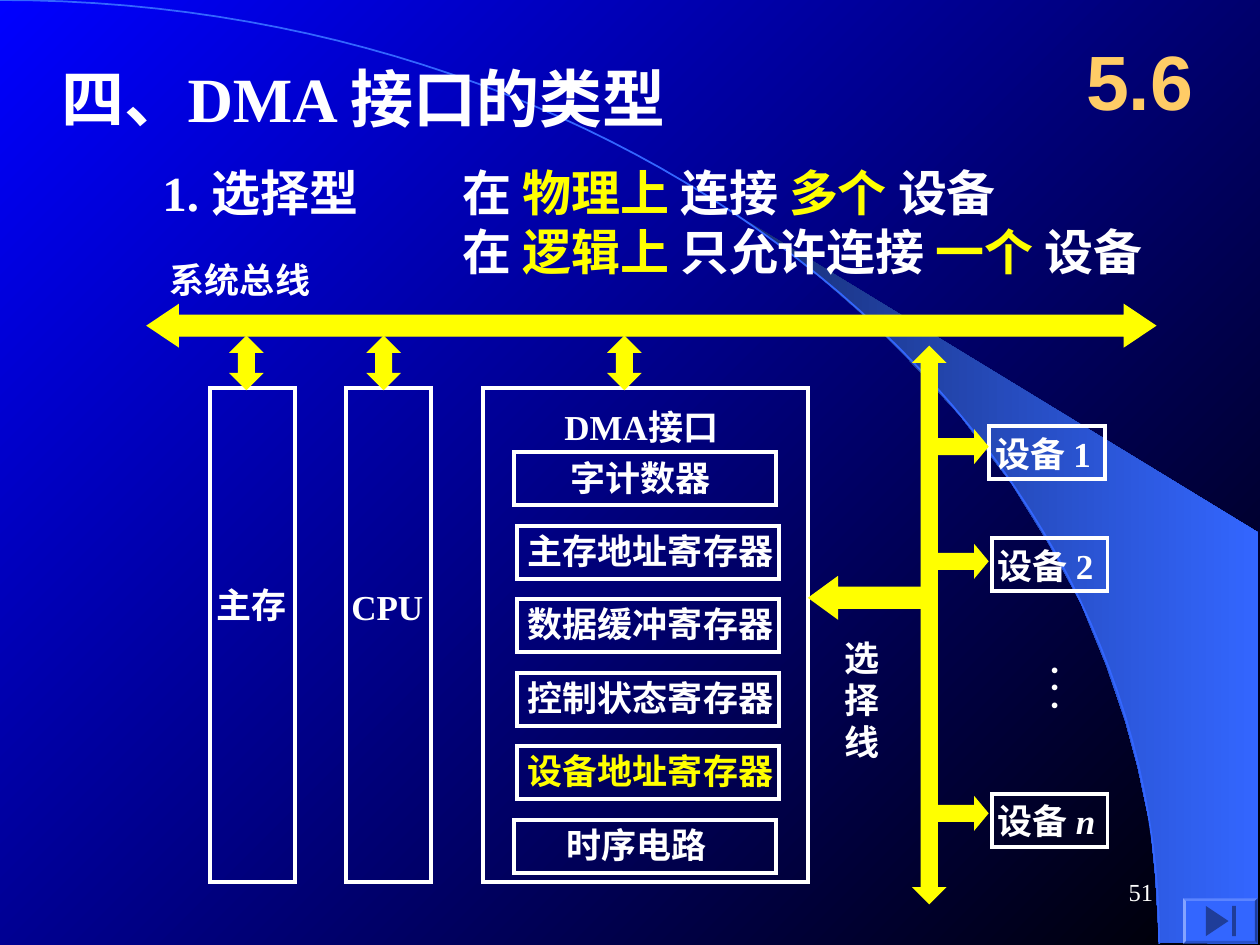
import lxml.etree
import pptx
import pptx.util
import pptx.dml.color
import pptx.enum.shapes
import pptx.enum.text
import pptx.oxml.ns

Inches = pptx.util.Inches
RGBColor = pptx.dml.color.RGBColor
SHAPE = pptx.enum.shapes.MSO_SHAPE
ALIGN = pptx.enum.text.PP_ALIGN
ANCHOR = pptx.enum.text.MSO_ANCHOR

WHITE = RGBColor(0xFF, 0xFF, 0xFF)
YELLOW = RGBColor(0xFF, 0xFF, 0x00)
ORANGE = RGBColor(0xFF, 0xCC, 0x66)
BLUE = RGBColor(0x33, 0x66, 0xFF)
DEEP_BLUE = RGBColor(0x00, 0x00, 0xFF)
NAVY = RGBColor(0x18, 0x2F, 0x76)
ICON_BLUE = RGBColor(0x1F, 0x3D, 0x99)
BLACK = RGBColor(0x00, 0x00, 0x00)

# Content: a paragraph is a list of (text, changed format values)
HOT = {"color": YELLOW}
DEFINITION = [
    [("在 ", {}), ("物理上 ", HOT), ("连接 ", {}), ("多个 ", HOT), ("设备", {})],
    [("在 ", {}), ("逻辑上 ", HOT), ("只允许连接 ", {}), ("一个 ", HOT), ("设备", {})],
]
# text, text left, text width, frame left, colour
REGISTERS = [
    ("字计数器", 4.43, 1.31, 4.08, WHITE),
    ("主存地址寄存器", 4.09, 2.15, 4.1, WHITE),
    ("数据缓冲寄存器", 4.09, 2.15, 4.1, WHITE),
    ("控制状态寄存器", 4.09, 2.15, 4.1, WHITE),
    ("设备地址寄存器", 4.09, 2.15, 4.1, YELLOW),
    ("时序电路", 4.4, 1.31, 4.08, WHITE),
]
# frame left, frame width, label, label left, top and width
UNITS = [
    (1.67, 0.67, "主存", 1.62, 4.58, 0.75),
    (2.75, 0.67, "CPU", 2.69, 4.6, 0.77),
    (3.83, 2.58, "DMA接口", 4.38, 3.17, 1.49),
]
# spans, frame left, frame top, arrow top
DEVICES = [
    ([("设备 1", {})], 7.85, 3.38, 3.42),
    ([("设备 2", {})], 7.87, 4.27, 4.33),
    ([("设备 ", {}), ("n", {"italic": True})], 7.87, 6.3, 6.33),
]
WEDGE = [
    (9.2, 7.48), (9.99, 7.49), (9.99, 4.23), (5.89, 1.73), (6.24, 1.99),
    (6.53, 2.22), (6.85, 2.5), (7.16, 2.8), (7.62, 3.3), (8.03, 3.84),
    (8.32, 4.31), (8.58, 4.79), (8.78, 5.28), (8.93, 5.72), (9.03, 6.09),
    (9.13, 6.56), (9.17, 6.96),
]
ARC_CONTROLS = [(0, 0), (5.08, 0), (9.2, 3.35), (9.2, 7.49)]
ARC_STEPS = 60

deck = pptx.Presentation()
deck.slide_width, deck.slide_height = Inches(10), Inches(7.5)
page = deck.slides.add_slide(deck.slide_layouts[6])


def set_gradient(fill, colors, angle):
    fill.gradient()
    fill.gradient_angle = angle
    for position, (stop, color) in enumerate(zip(fill.gradient_stops, colors)):
        stop.color.rgb = color
        stop.position = position


def paint(shape, fill=None, line=None, width=0.75):
    shape.shadow.inherit = False
    if fill is None:
        shape.fill.background()
    else:
        shape.fill.solid()
        shape.fill.fore_color.rgb = fill
    if line is None:
        shape.line.fill.background()
    else:
        shape.line.color.rgb = line
        shape.line.width = pptx.util.Pt(width)
        # Sharp corners
        outline = shape._element.spPr.find(pptx.oxml.ns.qn("a:ln"))
        lxml.etree.SubElement(outline, pptx.oxml.ns.qn("a:miter"), lim="800000")
    return shape


def add_outline(points, close=True):
    corners = [(Inches(x), Inches(y)) for x, y in points]
    builder = page.shapes.build_freeform(*corners[0])
    builder.add_line_segments(corners[1:], close=close)
    return builder.convert_to_shape()


def add_shape(kind, *place):
    return page.shapes.add_shape(kind, *map(Inches, place))


def add_frame(*place):
    paint(add_shape(SHAPE.RECTANGLE, *place), line=WHITE, width=2.25)


def add_arrow(kind, place, head, shaft=0.5):
    arrow = paint(add_shape(kind, *place), YELLOW, YELLOW)
    # The up-down arrow lists its head before its shaft
    values = (head, shaft) if kind == SHAPE.UP_DOWN_ARROW else (shaft, head)
    for index, value in enumerate(values):
        arrow.adjustments[index] = value


def add_text(paragraphs, place, size=20, align=ALIGN.LEFT,
             anchor=ANCHOR.TOP, **look):
    box = page.shapes.add_textbox(*map(Inches, place))
    frame = box.text_frame
    frame.word_wrap = True
    frame.vertical_anchor = anchor
    if align == ALIGN.LEFT:
        frame.margin_right = 0  # room to keep each label on one line
    if isinstance(paragraphs, str):
        paragraphs = [[(line, {})] for line in paragraphs.split("\n")]
    for index, spans in enumerate(paragraphs):
        para = frame.add_paragraph() if index else frame.paragraphs[0]
        para.alignment = align
        for text, change in spans:
            span = para.add_run()
            span.text = text
            values = {"name": "Times New Roman", "size": pptx.util.Pt(size),
                      "bold": True, "color": WHITE, **look, **change}
            span.font.color.rgb = values.pop("color")
            for name, value in values.items():
                setattr(span.font, name, value)
    return box


def arc_point(t):
    weights = [(1 - t) ** 3, 3 * t * (1 - t) ** 2, 3 * t ** 2 * (1 - t), t ** 3]
    return tuple(sum(w * point[axis] for w, point in zip(weights, ARC_CONTROLS))
                 for axis in (0, 1))


# Background: gradient, wedge and arc
set_gradient(page.background.fill, (DEEP_BLUE, BLACK), 315)
wedge = paint(add_outline(WEDGE))
set_gradient(wedge.fill, (NAVY, BLUE), 0)
arc = [arc_point(step / ARC_STEPS) for step in range(ARC_STEPS + 1)]
paint(add_outline(arc, close=False), line=BLUE, width=1)

# Headings
add_text("四、DMA 接口的类型", (0.39, 0.42, 5.26, 0.7), size=36)
add_text("1. 选择型", (1.19, 1.24, 1.84, 0.57), size=28)
add_text(DEFINITION, (3.57, 1.24, 6.1, 1.04), size=28)

# Registers of the DMA interface
for row, (text, left, width, frame_left, color) in enumerate(REGISTERS):
    top = 3.59 + row * 3.5 / 6
    add_text(text, (left, top - 0.02, width, 0.44), color=color)
    add_frame(frame_left, top, 2.08, 0.42)

# Units under the system bus
add_text("系统总线", (1.25, 2, 1.31, 0.44))
add_arrow(SHAPE.LEFT_RIGHT_ARROW, (1.17, 2.42, 8, 0.33), 0.745)
for left, width, label, label_left, label_top, label_width in UNITS:
    add_frame(left, 3.08, width, 3.92)
    add_text(label, (label_left, label_top, label_width, 0.44))
for left in (1.83, 2.92, 4.83):
    add_arrow(SHAPE.UP_DOWN_ARROW, (left, 2.67, 0.25, 0.42), 0.332)

# Devices on the select line
add_arrow(SHAPE.UP_DOWN_ARROW, (7.25, 2.75, 0.25, 4.42), 1.418)
for spans, left, top, arrow_top in DEVICES:
    add_text([spans], (left - 0.05, top, 1.02, 0.44))
    add_frame(left, top, 0.92, 0.42)
    add_arrow(SHAPE.RIGHT_ARROW, (7.42, arrow_top, 0.42, 0.25), 0.417)
add_arrow(SHAPE.LEFT_ARROW, (6.42, 4.58, 0.92, 0.33), 0.688)
add_text("选\n择\n线", (6.6, 5, 0.48, 1.1))
dots = add_text(". . .", (8.15, 5.19, 0.53, 0.45)).text_frame
dots._txBody.bodyPr.set("vert", "eaVert")
dots.margin_left = dots.margin_right = dots.margin_top = Inches(0.05)
dots.margin_bottom = 0

# Section and page numbers
add_text("5.6", (8.42, 0.17, 1.25, 0.92), size=44, align=ALIGN.CENTER,
         anchor=ANCHOR.MIDDLE, name="Arial", color=ORANGE)
add_text("51", (7.17, 6.83, 2.08, 0.5), size=14, align=ALIGN.RIGHT,
         anchor=ANCHOR.MIDDLE, bold=False)

# Button to the last page
button = paint(add_shape(SHAPE.BEVEL, 9.39, 7.13, 0.59, 0.36), BLUE)
button.adjustments[0] = 0.06
paint(add_outline([(9.75, 7.31), (9.57, 7.43), (9.57, 7.19)]), ICON_BLUE)
paint(add_shape(SHAPE.RECTANGLE, 9.78, 7.19, 0.03, 0.24), ICON_BLUE)

deck.save("out.pptx")
